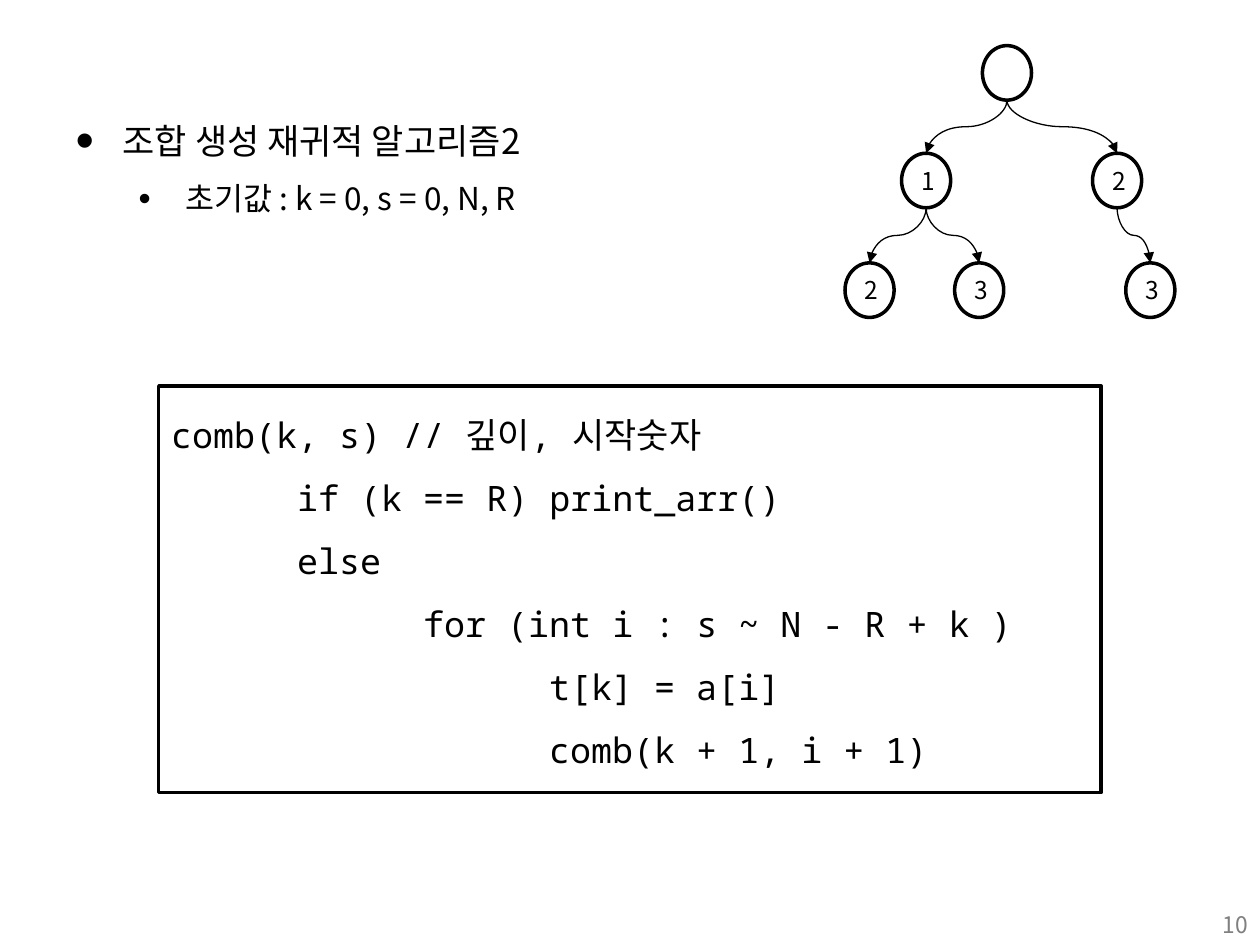
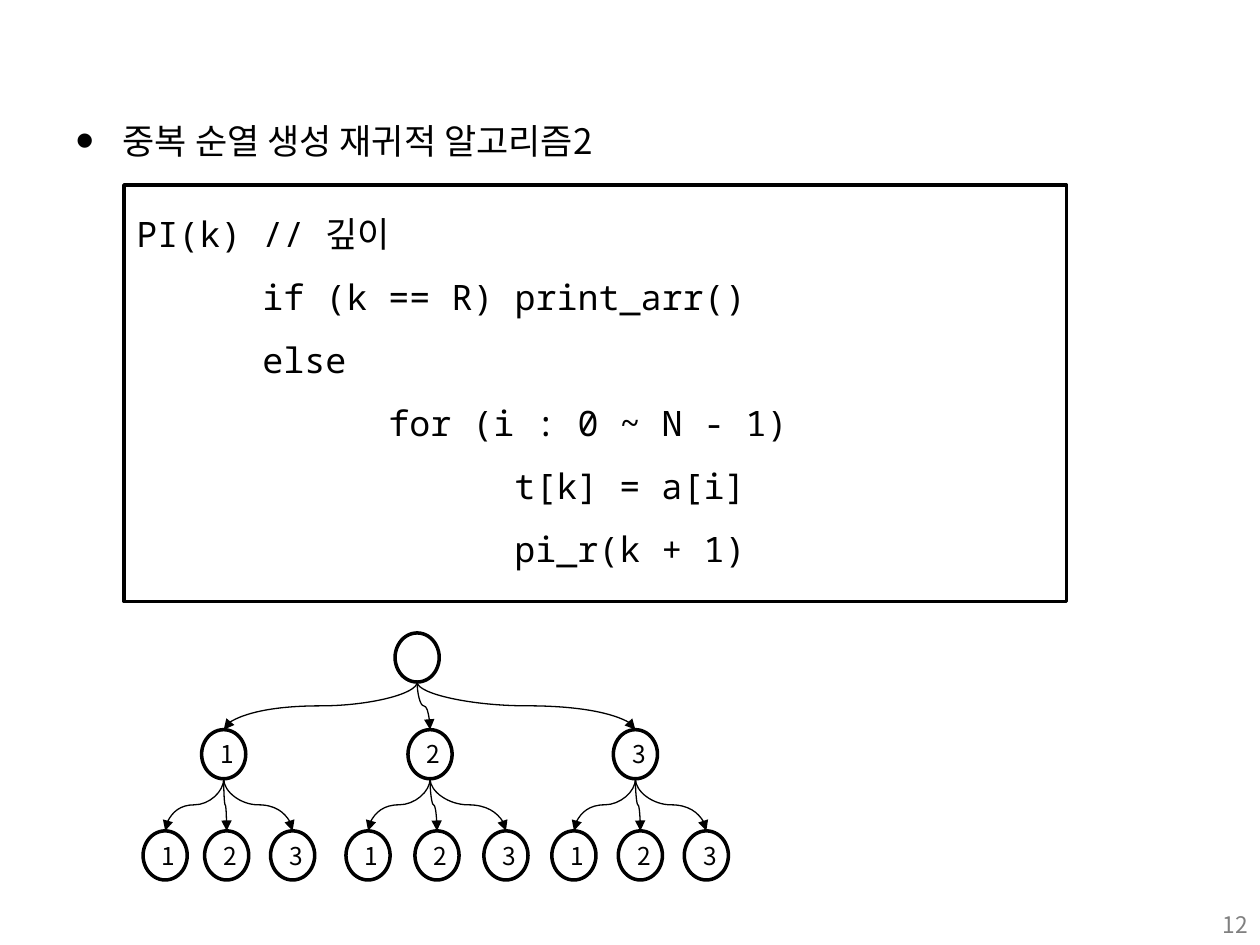
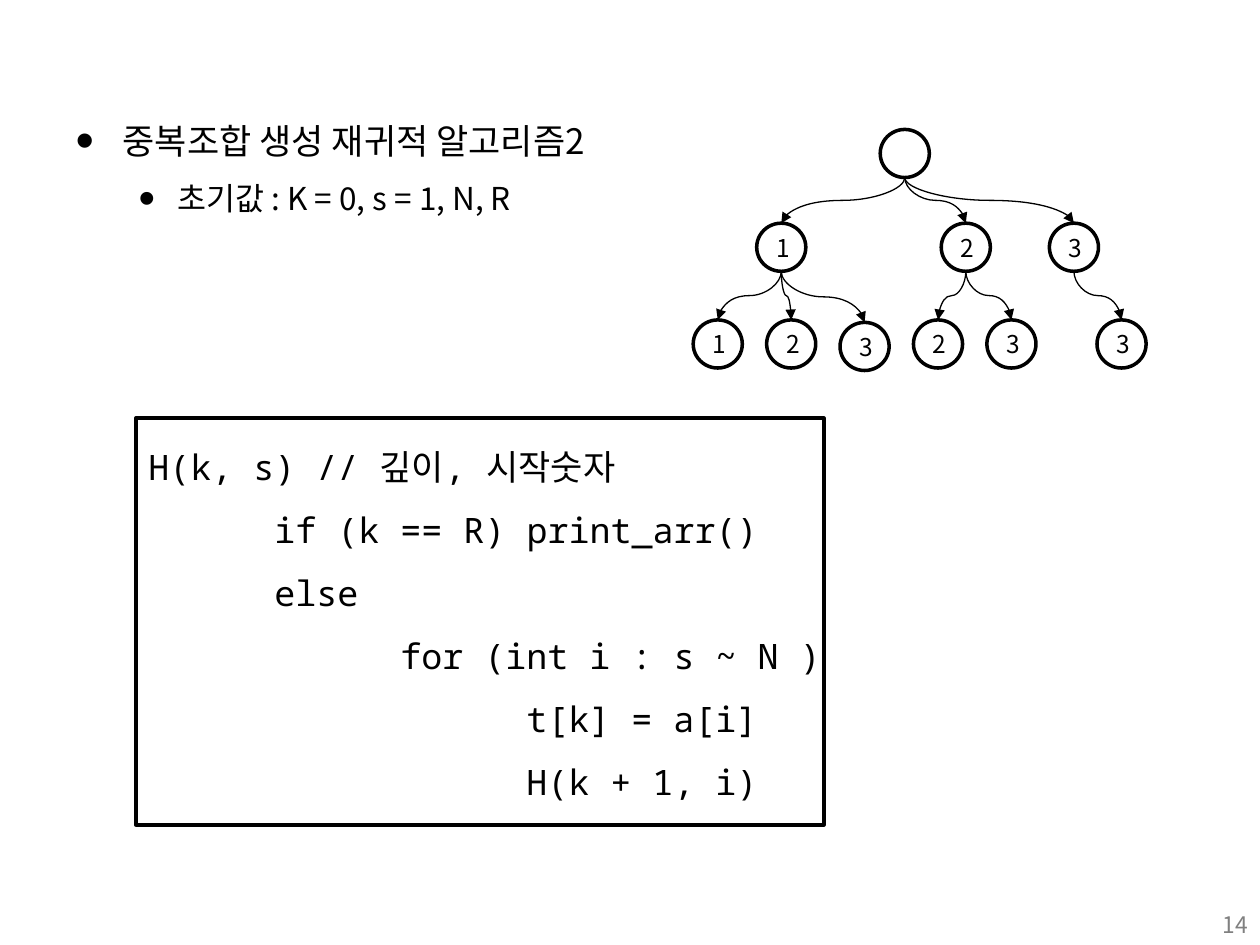
from dataclasses import dataclass

from lxml.etree import SubElement
from pptx import Presentation
from pptx.dml.color import RGBColor
from pptx.enum.shapes import MSO_CONNECTOR, MSO_SHAPE
from pptx.enum.text import MSO_ANCHOR, MSO_AUTO_SIZE, PP_ALIGN
from pptx.oxml.ns import qn
from pptx.util import Cm, Pt

BLACK = RGBColor(0x00, 0x00, 0x00)
WHITE = RGBColor(0xFF, 0xFF, 0xFF)
GRAY = RGBColor(0x80, 0x80, 0x80)
SANS = "Noto Sans CJK KR"
MONO = "Noto Sans Mono"
TITLE_AND_CONTENT = 1
CODE_TAB = 2.54
CODE_DEPTH = 3


@dataclass(frozen=True)
class BulletStyle:
    level: int
    margin: float
    hang: float
    bullet_percent: int
    font_size: int


TOPIC = BulletStyle(0, 0.95, 0.95, 150, 20)
START_VALUES = BulletStyle(1, 2.22, 0.95, 110, 18)
START_VALUES_DEEP = BulletStyle(2, 2.06, 0.79, 150, 18)


@dataclass(frozen=True)
class Bullet:
    text: str
    style: BulletStyle


@dataclass(frozen=True)
class CodeBox:
    left: float
    top: float
    width: float
    height: float
    lines: tuple[str, ...]


@dataclass(frozen=True)
class Node:
    """A tree node; x is its centre and drop its offset below its level, in cm."""
    label: str
    x: float
    children: tuple["Node", ...] = ()
    drop: float = 0


@dataclass(frozen=True)
class Tree:
    root: Node
    level_tops: tuple[float, ...]
    node_width: float
    node_height: float
    filled: bool = False


@dataclass(frozen=True)
class AlgorithmPage:
    number: int
    bullets: tuple[Bullet, ...]
    code: CodeBox
    tree: Tree


PAGES = (
    AlgorithmPage(
        10,
        (Bullet("조합 생성 재귀적 알고리즘2", TOPIC),
         Bullet("초기값 : k = 0, s = 0, N, R", START_VALUES)),
        CodeBox(3.2, 7.78, 19, 8.2, (
            "comb(k, s) // 깊이, 시작숫자",
            "\tif (k == R) print_arr()",
            "\telse",
            "\t\tfor (int i : s ~ N - R + k )",
            "\t\t\tt[k] = a[i]",
            "\t\t\tcomb(k + 1, i + 1)")),
        Tree(
            Node("", 20.3, (
                Node("1", 18.67, (Node("2", 17.53), Node("3", 19.74))),
                Node("2", 22.52, (Node("3", 23.19),)))),
            (0.92, 3.09, 5.3), 0.99, 1.1, filled=True),
    ),
    AlgorithmPage(
        12,
        (Bullet("중복 순열 생성 재귀적 알고리즘2", TOPIC),),
        CodeBox(2.5, 3.73, 19, 8.4, (
            "PI(k) // 깊이",
            "\tif (k == R) print_arr()",
            "\telse",
            "\t\tfor (i : 0 ~ N - 1)",
            "\t\t\tt[k] = a[i]",
            "\t\t\tpi_r(k + 1)")),
        Tree(
            Node("", 8.41, (
                Node("1", 4.51, (Node("1", 3.33), Node("2", 4.57), Node("3", 5.9))),
                Node("2", 8.67, (Node("1", 7.42), Node("2", 8.81), Node("3", 10.2))),
                Node("3", 12.81, (Node("1", 11.57), Node("2", 12.91), Node("3", 14.24))))),
            (12.76, 14.71, 16.75), 0.89, 0.99),
    ),
    AlgorithmPage(
        14,
        (Bullet("중복조합 생성 재귀적 알고리즘2", TOPIC),
         Bullet("초기값 : K = 0, s = 1, N, R", START_VALUES_DEEP)),
        CodeBox(2.74, 8.43, 13.87, 8.2, (
            "H(k, s) // 깊이, 시작숫자",
            "\tif (k == R) print_arr()",
            "\telse",
            "\t\tfor (int i : s ~ N )",
            "\t\t\tt[k] = a[i]",
            "\t\t\tH(k + 1, i)")),
        Tree(
            Node("", 18.24, (
                Node("1", 15.75, (Node("1", 14.47), Node("2", 15.95),
                                  Node("3", 17.43, drop=0.05))),
                Node("2", 19.47, (Node("2", 18.91), Node("3", 20.39))),
                Node("3", 21.65, (Node("3", 22.61),)))),
            (2.61, 4.5, 6.45), 0.99, 0.97),
    ),
)


def add_span(para, text: str, size: int, font: str = SANS,
             color: RGBColor = BLACK) -> None:
    span = para.add_run()
    span.text = text
    span.font.size = Pt(size)
    span.font.name = font
    span.font.color.rgb = color
    properties = span.font._element
    properties.set("kern", "0")
    SubElement(properties, qn("a:ea"), typeface=SANS)


def paragraphs(frame, count: int) -> list:
    """Return count paragraphs, the frame's first one included."""
    return [frame.paragraphs[0]] + [frame.add_paragraph() for _ in range(count - 1)]


def add_outlined_shape(page, kind: MSO_SHAPE, left: float, top: float,
                       width: float, height: float, filled: bool = True):
    shape = page.shapes.add_shape(kind, Cm(left), Cm(top), Cm(width), Cm(height))
    shape.shadow.inherit = False
    if filled:
        shape.fill.solid()
        shape.fill.fore_color.rgb = WHITE
    else:
        shape.fill.background()
    shape.line.color.rgb = BLACK
    shape.line.width = Pt(2)
    return shape


def fill_body(page, bullets: tuple[Bullet, ...]) -> None:
    body = page.placeholders[1]
    body.left, body.top, body.width, body.height = Cm(1.27), Cm(2.03), Cm(22.86), Cm(13.64)
    frame = body.text_frame
    frame.auto_size = MSO_AUTO_SIZE.NONE
    for para, bullet in zip(paragraphs(frame, len(bullets)), bullets):
        style = bullet.style
        para.level = style.level
        para.line_spacing = 1.3
        para.space_before = Pt(style.font_size * 0.2)
        properties = para._p.get_or_add_pPr()
        properties.set("marL", str(Cm(style.margin)))
        properties.set("indent", str(-Cm(style.hang)))
        SubElement(properties, qn("a:buSzPct"), val=str(style.bullet_percent * 1000))
        SubElement(properties, qn("a:buFont"), typeface="Arial")
        SubElement(properties, qn("a:buChar"), char="•")
        add_span(para, bullet.text, style.font_size)


def add_page_number(page, number: int) -> None:
    box = page.shapes.add_textbox(Cm(19.48), Cm(18.24), Cm(5.92), Cm(1.02))
    box.text_frame.word_wrap = True
    para = box.text_frame.paragraphs[0]
    para.alignment = PP_ALIGN.RIGHT
    add_span(para, str(number), 13, color=GRAY)


def add_code(page, code: CodeBox) -> None:
    box = add_outlined_shape(page, MSO_SHAPE.RECTANGLE,
                             code.left, code.top, code.width, code.height)
    frame = box.text_frame
    frame.word_wrap = False
    frame.vertical_anchor = MSO_ANCHOR.TOP
    for para, line in zip(paragraphs(frame, len(code.lines)), code.lines):
        para.alignment = PP_ALIGN.LEFT
        para.line_spacing = 1.5
        tabs = SubElement(para._p.get_or_add_pPr(), qn("a:tabLst"))
        for depth in range(1, CODE_DEPTH + 1):
            SubElement(tabs, qn("a:tab"), pos=str(Cm(CODE_TAB * depth)), algn="l")
        add_span(para, line, 20, MONO)


def add_branch(page, x1: float, y1: float, x2: float, y2: float) -> None:
    """Draw a curved arrow that leaves and arrives vertically.

    A curved connector runs sideways, so it is laid out turned by a quarter.
    """
    middle_x, middle_y = (x1 + x2) / 2, (y1 + y2) / 2
    leftward = x2 < x1
    half_run = (y2 - y1) / 2 * (1 if leftward else -1)
    half_rise = abs(x2 - x1) / 2
    branch = page.shapes.add_connector(
        MSO_CONNECTOR.CURVE,
        Cm(middle_x - half_run), Cm(middle_y - half_rise),
        Cm(middle_x + half_run), Cm(middle_y + half_rise))
    branch.rotation = 90 if leftward else 270
    branch.line.color.rgb = BLACK
    branch.line.width = Pt(0.75)
    SubElement(branch.line._get_or_add_ln(), qn("a:tailEnd"), type="triangle")
    SubElement(branch._element.spPr, qn("a:effectLst"))


def add_tree(page, tree: Tree, node: Node, level: int = 0) -> None:
    """Draw node, then its branches and subtrees."""
    top = tree.level_tops[level] + node.drop
    circle = add_outlined_shape(page, MSO_SHAPE.OVAL, node.x - tree.node_width / 2, top,
                                tree.node_width, tree.node_height, tree.filled)
    if node.label:
        circle.text_frame.vertical_anchor = MSO_ANCHOR.MIDDLE
        para = circle.text_frame.paragraphs[0]
        para.alignment = PP_ALIGN.CENTER
        add_span(para, node.label, 14)
    for child in node.children:
        child_top = tree.level_tops[level + 1] + child.drop
        add_branch(page, node.x, top + tree.node_height, child.x, child_top)
        add_tree(page, tree, child, level + 1)


def main() -> None:
    deck = Presentation()
    deck.slide_width, deck.slide_height = Cm(25.4), Cm(19.05)
    for content in PAGES:
        page = deck.slides.add_slide(deck.slide_layouts[TITLE_AND_CONTENT])
        title = page.shapes.title.element
        title.getparent().remove(title)
        fill_body(page, content.bullets)
        add_page_number(page, content.number)
        add_code(page, content.code)
        add_tree(page, content.tree, content.tree.root)
    deck.save("out.pptx")


if __name__ == "__main__":
    main()
